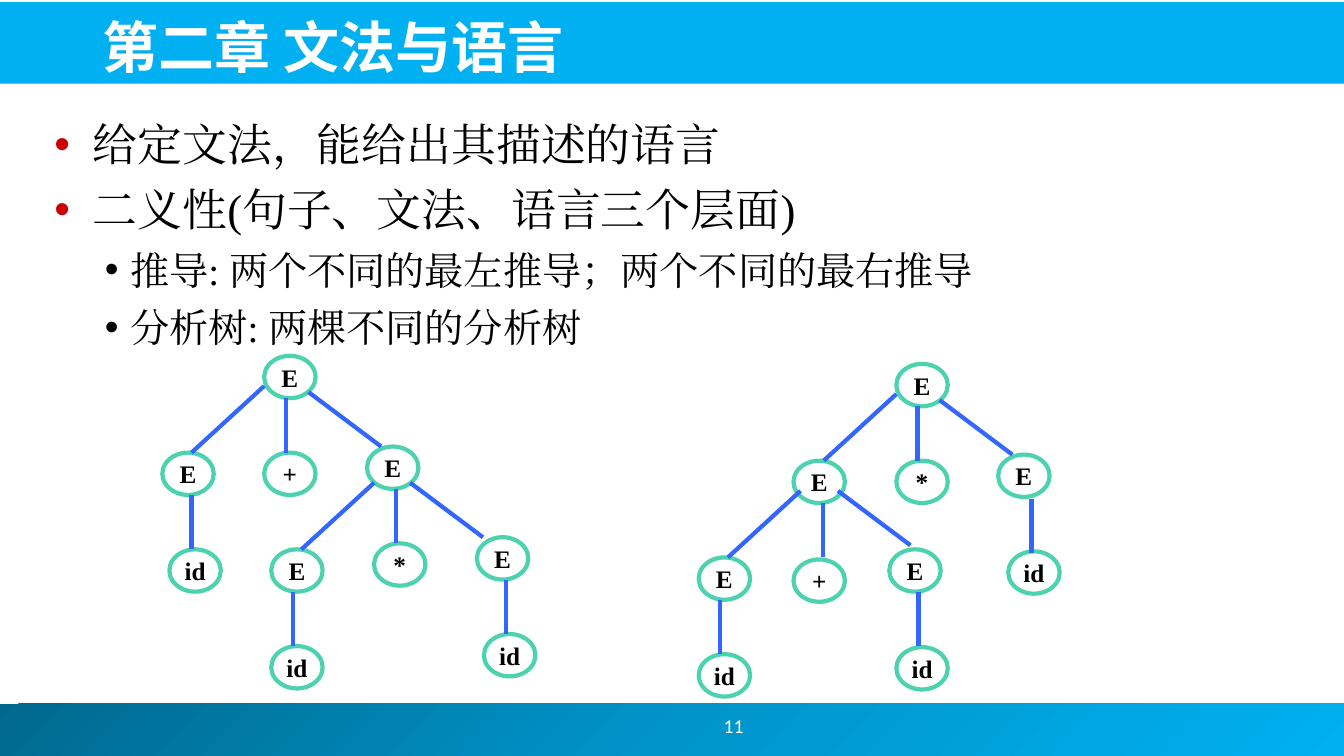
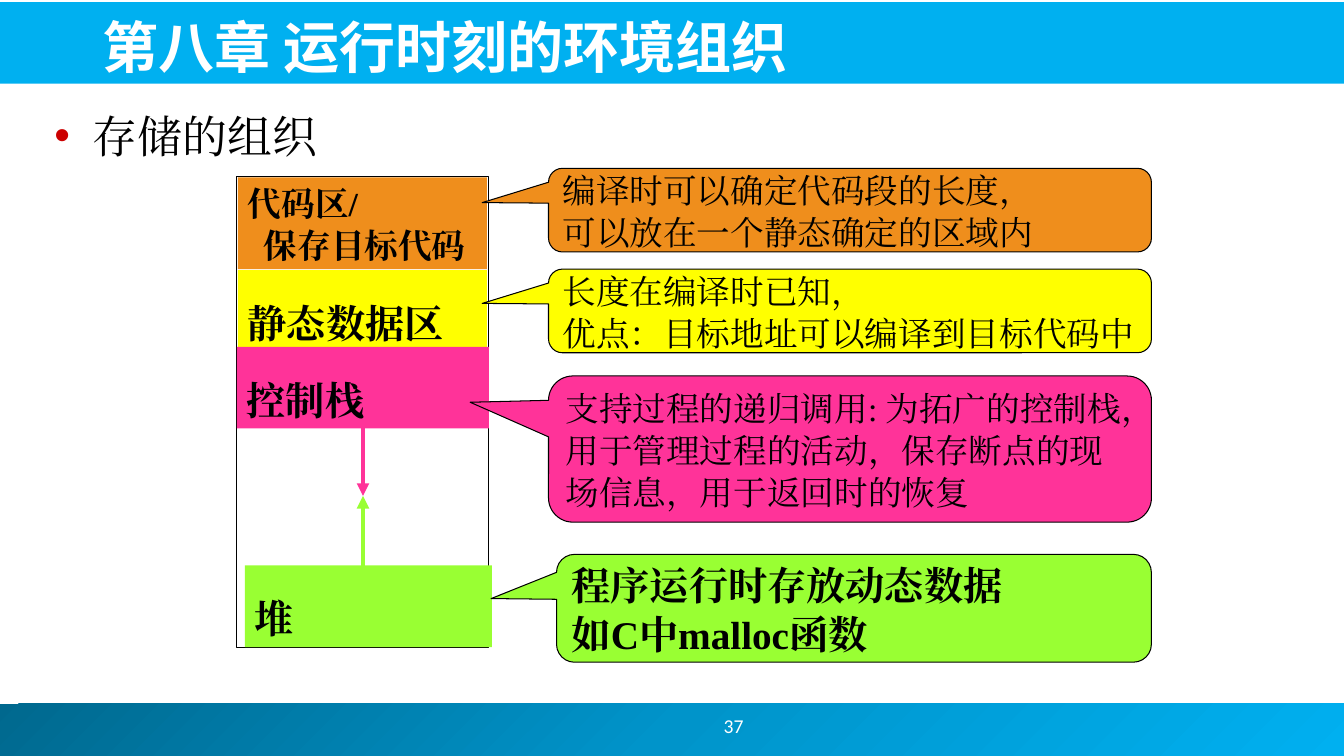
"""Build two compiler course review slides: parse trees and run-time storage."""
import copy

import pptx
import pptx.dml.color
import pptx.enum.dml
import pptx.enum.shapes
import pptx.enum.text
import pptx.oxml
import pptx.oxml.ns
import pptx.util

Inches, Pt = pptx.util.Inches, pptx.util.Pt
RGB = pptx.dml.color.RGBColor
SHAPE = pptx.enum.shapes.MSO_SHAPE
ALIGN = pptx.enum.text.PP_ALIGN
ANCHOR = pptx.enum.text.MSO_ANCHOR
qn = pptx.oxml.ns.qn
NS = pptx.oxml.ns.nsdecls("a")

WHITE = RGB(0xFF, 0xFF, 0xFF)
BLACK = RGB(0x00, 0x00, 0x00)
SKY = RGB(0x00, 0xB0, 0xF0)
OCEAN = RGB(0x00, 0x94, 0xCA)
DEEP = RGB(0x00, 0x68, 0x8E)
MINT = RGB(0x4C, 0xD2, 0xAF)
BLUE = RGB(0x33, 0x66, 0xFF)
RED = RGB(0xCC, 0x00, 0x00)
ORANGE = RGB(0xEF, 0x8E, 0x1C)
YELLOW = RGB(0xFF, 0xFF, 0x00)
PINK = RGB(0xFF, 0x33, 0x99)
GREEN = RGB(0x99, 0xFF, 0x33)
SERIF, SANS, CJK = "Times New Roman", "Calibri", "Noto Sans CJK JP"


def add_run(p, text, size, font=SERIF, color=BLACK, bold=False):
    r = p.add_run()
    r.text = text
    r.font.size, r.font.name, r.font.bold = Pt(size), font, bold
    r.font.color.rgb = color
    r._r.get_or_add_rPr().append(pptx.oxml.parse_xml(f'<a:ea {NS} typeface="{font}"/>'))


def add_line(shapes, x1, y1, x2, y2, color, arrow=False):
    ln = shapes.add_connector(pptx.enum.shapes.MSO_CONNECTOR.STRAIGHT,
                              Inches(x1), Inches(y1), Inches(x2), Inches(y2))
    ln.line.color.rgb = color
    ln.line.width = Pt(3)
    if arrow:
        ln.line._get_or_add_ln().append(pptx.oxml.parse_xml(f'<a:tailEnd {NS} type="triangle"/>'))
    ln._element.spPr.append(pptx.oxml.parse_xml(f"<a:effectLst {NS}/>"))


prs = pptx.Presentation()
prs.slide_width, prs.slide_height = Inches(13.33), Inches(7.5)
layout = prs.slide_layouts[1]
title = layout.placeholders[0]
title.left, title.top, title.width, title.height = map(Inches, (0.92, 0.05, 11.97, 0.79))
title.text_frame.vertical_anchor = ANCHOR.BOTTOM

PAGES = [
    ("第二章 文法与语言", "11", (0.44, 1.08, 12.44, 5.44),
     [("给定文法，能给出其描述的语言", 0),
      ("二义性(句子、文法、语言三个层面)", 0),
      ("推导: 两个不同的最左推导；两个不同的最右推导", 1),
      ("分析树: 两棵不同的分析树", 1)]),
    ("第八章 运行时刻的环境组织", "37", (0.44, 1, 12.44, 0.86),
     [("存储的组织", 0)]),
]
LEVELS = [(32, 0.38, -0.38, RED), (28, 0.75, -0.25, BLACK)]

for heading, number, area, items in PAGES:
    s = prs.slides.add_slide(layout)
    tf = s.shapes.title.text_frame
    tf.auto_size = pptx.enum.text.MSO_AUTO_SIZE.NONE
    tf.paragraphs[0].alignment = ALIGN.LEFT
    add_run(tf.paragraphs[0], heading, 40, CJK, WHITE, True)

    body = s.placeholders[1]
    body.left, body.top, body.width, body.height = map(Inches, area)
    tf = body.text_frame
    tf.auto_size = pptx.enum.text.MSO_AUTO_SIZE.NONE
    for i, (text, level) in enumerate(items):
        size, margin, indent, color = LEVELS[level]
        p = tf.add_paragraph() if i else tf.paragraphs[0]
        p.level = level
        p.line_spacing = 1.05
        p.space_before = Pt(size * 0.2)
        pPr = p._p.get_or_add_pPr()
        pPr.set("marL", str(Inches(margin)))
        pPr.set("indent", str(Inches(indent)))
        pPr.append(pptx.oxml.parse_xml(f'<a:buClr {NS}><a:srgbClr val="{color}"/></a:buClr>'))
        pPr.append(pptx.oxml.parse_xml(f'<a:buChar {NS} char="•"/>'))
        add_run(p, text, size)

    tb = s.shapes.add_textbox(Inches(5.83), Inches(6.95), Inches(2.89), Inches(0.5))
    tf = tb.text_frame
    tf.word_wrap = True
    tf.vertical_anchor = ANCHOR.MIDDLE
    tf.paragraphs[0].alignment = ALIGN.CENTER
    add_run(tf.paragraphs[0], number, 14, SANS, WHITE)

s = prs.slides[0]
bands = []
for x, y, w, h in [(-0.05, 6.98, 13.39, 0.52), (-0.02, 0.02, 13.36, 0.81)]:
    sp = s.shapes.add_shape(SHAPE.RECTANGLE, Inches(x), Inches(y), Inches(w), Inches(h))
    sp.shadow.inherit = False
    sp.line.fill.background()
    sp.fill.solid()
    sp.fill.fore_color.rgb = SKY
    bands.append(sp)
fill = bands[0].fill
fill.gradient()
fill.gradient_angle = 315
first = fill.gradient_stops[0]._gs
first.addnext(copy.deepcopy(first))
for stop, position, color in zip(fill.gradient_stops, (0, 0.5, 1), (DEEP, OCEAN, SKY)):
    stop.position = position
    stop.color.rgb = color
for i, sp in enumerate(bands):
    sp._element.nvSpPr.cNvPr.set("id", str(20 + i))
    layout.shapes._spTree.insert(2 + i, sp._element)

LEFT, DOWN, RIGHT = (-0.72, 0.66), (0, 0.54), (0.72, 0.54)
TREES = [
    ([("E", 2.62, 3.53), ("E", 1.61, 4.49), ("+", 2.62, 4.49), ("E", 3.64, 4.43),
      ("id", 1.68, 5.45), ("E", 2.69, 5.45), ("*", 3.71, 5.39), ("E", 4.73, 5.33),
      ("id", 2.69, 6.41), ("id", 4.8, 6.29)],
     [(LEFT, 2.62, 3.83), (DOWN, 2.84, 3.95), (RIGHT, 3.06, 3.89),
      (LEFT, 3.71, 4.79), (DOWN, 3.93, 4.85), (RIGHT, 4.07, 4.79),
      (DOWN, 1.9, 4.91), (DOWN, 2.91, 5.87), (DOWN, 5.02, 5.75)]),
    ([("E", 8.89, 3.61), ("E", 7.87, 4.57), ("*", 8.89, 4.57), ("E", 9.9, 4.51),
      ("id", 10, 5.47), ("E", 6.93, 5.53), ("+", 7.87, 5.55), ("E", 8.82, 5.45),
      ("id", 6.93, 6.49), ("id", 8.89, 6.42)],
     [(LEFT, 8.89, 3.91), (DOWN, 9.1, 4.03), (RIGHT, 9.32, 3.97),
      (LEFT, 7.94, 4.87), (DOWN, 8.16, 4.99), (RIGHT, 8.31, 4.87),
      (DOWN, 10.23, 4.95), (DOWN, 7.14, 5.95), (DOWN, 9.11, 5.87)]),
]
for nodes, edges in TREES:
    tree = s.shapes.add_group_shape()
    for label, x, y in nodes:
        sp = tree.shapes.add_shape(SHAPE.OVAL, Inches(x), Inches(y), Inches(0.51), Inches(0.42))
        sp.shadow.inherit = False
        sp.fill.background()
        sp.line.color.rgb = MINT
        sp.line.width = Pt(3)
        tf = sp.text_frame
        tf.word_wrap = False
        tf.paragraphs[0].alignment = ALIGN.CENTER
        add_run(tf.paragraphs[0], label, 18, bold=True)
    for (dx, dy), x, y in edges:
        add_line(tree.shapes, x, y, x + dx, y + dy, BLUE)

s = prs.slides[1]
RECT, CALLOUT = SHAPE.RECTANGLE, SHAPE.ROUNDED_RECTANGULAR_CALLOUT
BOXES = [
    (RECT, (2.35, 1.75, 2.5, 4.67), None, None, [], 24, False, 1),
    (RECT, (2.36, 1.76, 2.47, 0.91), ORANGE, None, ["代码区/", "保存目标代码"], 24, True, 1.05),
    (RECT, (2.36, 2.68, 2.47, 0.81), YELLOW, None, ["静态数据区"], 28, True, 1.5),
    (RECT, (2.35, 3.44, 2.5, 0.81), PINK, None, ["控制栈"], 28, True, 1.5),
    (RECT, (2.43, 5.61, 2.45, 0.81), GREEN, None, ["堆"], 28, True, 1.5),
    (CALLOUT, (5.44, 1.67, 5.98, 0.83), ORANGE, (-0.61, -0.09),
     ["编译时可以确定代码段的长度，", "可以放在一个静态确定的区域内"], 24, False, 1.05),
    (CALLOUT, (5.44, 2.67, 5.98, 0.83), YELLOW, (-0.61, -0.09),
     ["长度在编译时已知，", "优点：目标地址可以编译到目标代码中"], 24, False, 1.05),
    (CALLOUT, (5.44, 3.73, 5.98, 1.45), PINK, (-0.63, -0.32),
     ["支持过程的递归调用: 为拓广的控制栈，用于管理过程的活动，保存断点的现场信息，用于返回时的恢复"],
     24, False, 1.05),
    (CALLOUT, (5.52, 5.5, 5.9, 1.07), GREEN, (-0.61, -0.09),
     ["程序运行时存放动态数据", "如C中malloc函数"], 28, True, 1.05),
]
for kind, area, color, pointer, lines, size, bold, spacing in BOXES:
    sp = s.shapes.add_shape(kind, *map(Inches, area))
    sp.shadow.inherit = False
    if color is None:
        sp.fill.background()
    else:
        sp.fill.solid()
        sp.fill.fore_color.rgb = color
    if color is None or pointer:
        sp.line.color.rgb = BLACK
        sp.line.width = Pt(0.75)
    else:
        sp.line.fill.background()
    if pointer:
        sp.adjustments[0], sp.adjustments[1] = pointer
    tf = sp.text_frame
    tf.word_wrap = len(lines) < 2
    for i, text in enumerate(lines):
        p = tf.add_paragraph() if i else tf.paragraphs[0]
        p.alignment = ALIGN.LEFT
        p.line_spacing = spacing
        if i and kind == RECT:
            p._p.get_or_add_pPr().set("marL", str(Inches(0.16)))
        add_run(p, text, size, bold=bold)

add_line(s.shapes, 3.6, 4.17, 3.6, 4.92, PINK, True)
add_line(s.shapes, 3.6, 5.75, 3.6, 4.92, GREEN, True)

prs.save("out.pptx")
